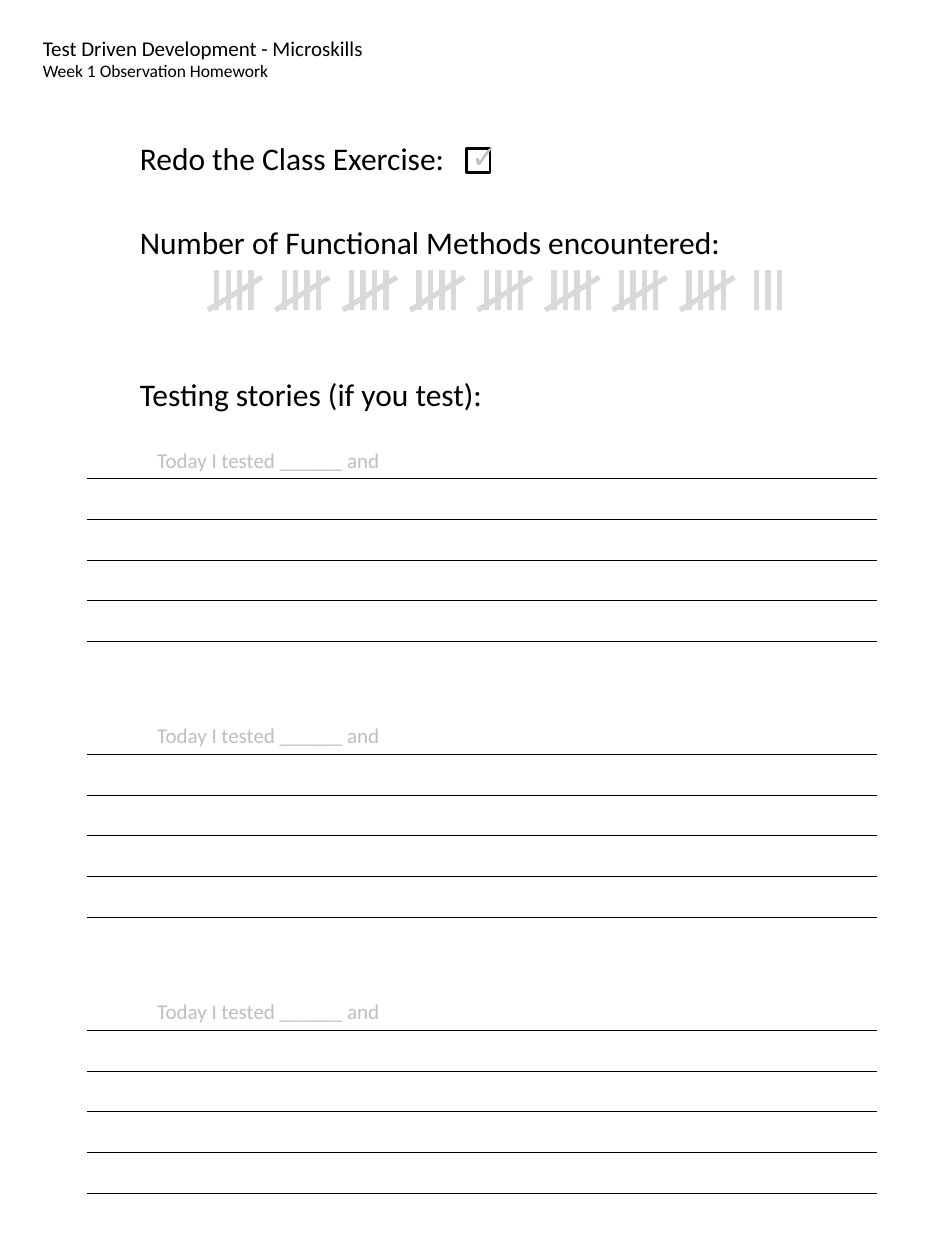
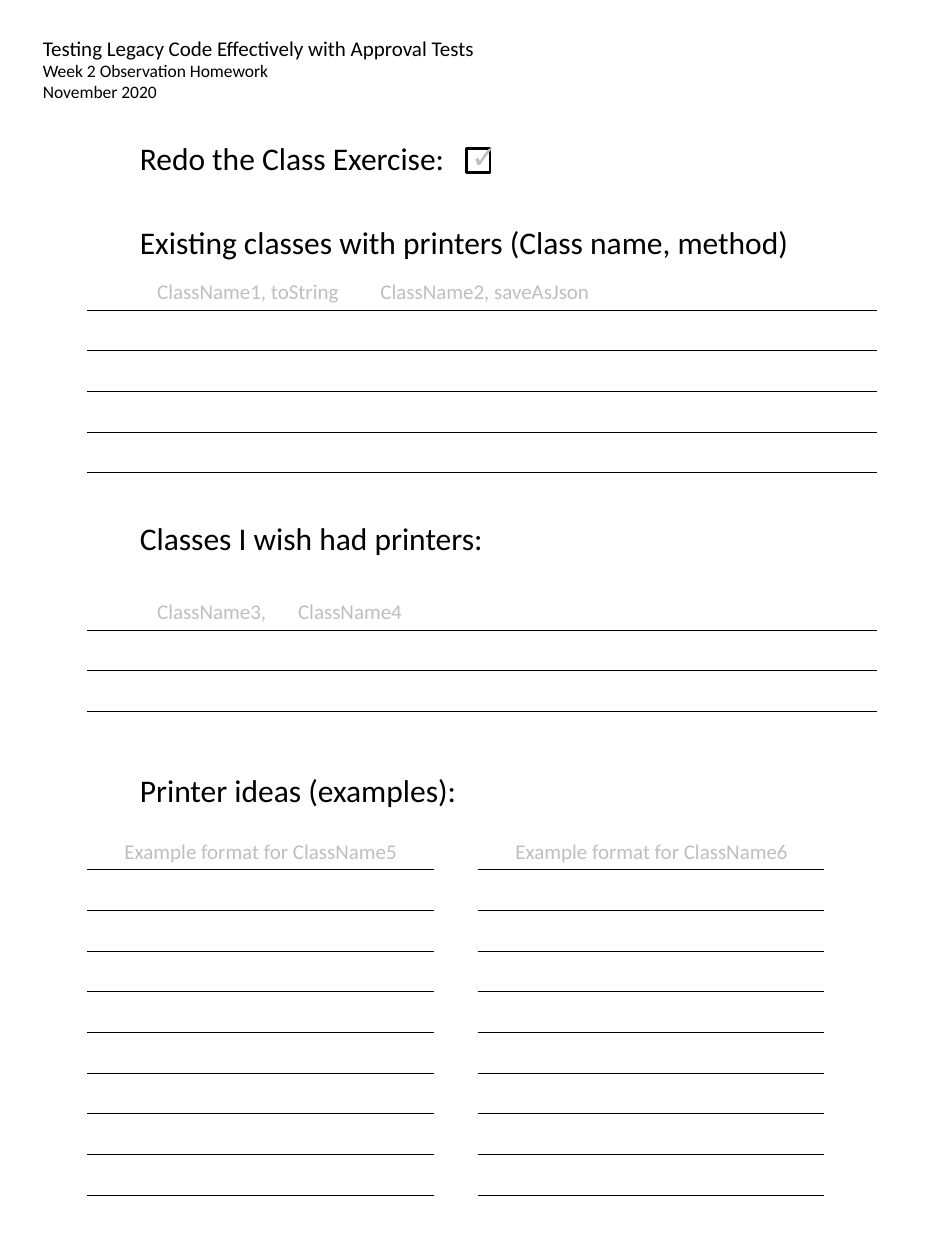
from lxml import etree
from pptx import Presentation
from pptx.dml.color import RGBColor
from pptx.enum.shapes import MSO_CONNECTOR, MSO_SHAPE
from pptx.enum.text import MSO_ANCHOR, MSO_AUTO_SIZE, PP_ALIGN
from pptx.oxml.ns import qn
from pptx.util import Cm, Pt

STRAIGHT = MSO_CONNECTOR.STRAIGHT
RECTANGLE = MSO_SHAPE.RECTANGLE
TOP = MSO_ANCHOR.TOP
GROW = MSO_AUTO_SIZE.SHAPE_TO_FIT_TEXT
LEFT = PP_ALIGN.LEFT

FONT = "Calibri"
BLACK, HINT, TALLY = "000000", "BFBFBF", "D9D9D9"

# Ruled lines
LINE_X, LINE_W, COLUMN_W = 1.75, 15.93, 6.99
ROW_GAP = 0.82

# Tally marks
TALLY_COUNT = 43
TALLY_X, TALLY_TOP, TALLY_BOTTOM = 4.37, 5.44, 6.25
TALLY_GAP, STROKE_GAP = 1.36, 0.23

# Each ruled block: hint, hint tab, hint offset, hint width, x, first line y, width, rows
PAGES = [
    {
        "title": ["Test Driven Development - Microskills",
                  "Week 1 Observation Homework"],
        "title_size": (7.04, 1.19),
        "headings": [("Number of Functional Methods encountered:", 4.37),
                     ("Testing stories (if you test):", 7.44)],
        "tally": TALLY_COUNT,
        "blocks": [("Today I tested ______ and", None, 1.17, 10.54,
                    LINE_X, 9.65 + 5.56 * i, LINE_W, 5) for i in range(3)],
    },
    {
        "title": ["Testing Legacy Code Effectively with Approval Tests",
                  "Week 2 Observation Homework",
                  "November 2020"],
        "title_size": (9.3, 1.63),
        "headings": [("Existing classes with printers (Class name, method)", 4.37),
                     ("Classes I wish had printers:", 10.34),
                     ("Printer ideas (examples):", 15.42)],
        "tally": 0,
        "blocks": [
            ("ClassName1, toString\tClassName2, saveAsJson", 4.5, 1.17, 10.54,
             LINE_X, 6.25, LINE_W, 5),
            ("ClassName3,\tClassName4", 2.84, 1.17, 10.54,
             LINE_X, 12.7, LINE_W, 3),
            ("Example format for ClassName5", None, 0.51, COLUMN_W,
             LINE_X, 17.53, COLUMN_W, 9),
            ("Example format for ClassName6", None, 0.51, COLUMN_W,
             9.63, 17.53, COLUMN_W, 9),
        ],
    },
]


def add_text(shapes, text, x, y, w, h, size, color, tab=None):
    tf = shapes.add_textbox(Cm(x), Cm(y), Cm(w), Cm(h)).text_frame
    tf.word_wrap = True
    tf.auto_size = GROW
    p = tf.paragraphs[0]
    p.text = text
    p.font.name = FONT
    p.font.size = Pt(size)
    p.font.color.rgb = RGBColor.from_string(color)
    if tab:
        tabs = etree.Element(qn("a:tabLst"))
        etree.SubElement(tabs, qn("a:tab"), pos=str(Cm(tab)), algn="l")
        p._p.get_or_add_pPr().insert(0, tabs)


def add_line(shapes, x1, y1, x2, y2, color, width):
    line = shapes.add_connector(STRAIGHT, Cm(x1), Cm(y1), Cm(x2), Cm(y2))
    line.line.color.rgb = RGBColor.from_string(color)
    line.line.width = Pt(width)
    etree.SubElement(line._element.spPr, qn("a:effectLst"))


prs = Presentation()
prs.slide_width, prs.slide_height = Cm(19.05), Cm(25.4)
title_only = prs.slide_layouts[5]

for page in PAGES:
    s = prs.slides.add_slide(title_only)

    # Course title in the top left corner
    title = s.shapes.title
    title.left, title.top = Cm(0.61), Cm(0.58)
    title.width, title.height = (Cm(v) for v in page["title_size"])
    tf = title.text_frame
    tf.text = "\n".join(page["title"])
    tf.word_wrap = False
    tf.auto_size = GROW
    tf.vertical_anchor = TOP
    for i, p in enumerate(tf.paragraphs):
        p.alignment = LEFT
        p.font.name = FONT
        p.font.size = Pt(10 if i else 12)
        p.font.color.rgb = RGBColor.from_string(BLACK)

    # Headings
    for text, y in [("Redo the Class Exercise:", 2.67)] + page["headings"]:
        add_text(s.shapes, text, 2.57, y, 14.25, 1.02, 18, BLACK)

    # Ticked checkbox
    box = s.shapes.add_shape(RECTANGLE, Cm(9.4), Cm(3), Cm(0.48), Cm(0.48))
    box.shadow.inherit = False
    box.fill.background()
    box.line.color.rgb = RGBColor.from_string(BLACK)
    box.line.width = Pt(1.5)
    add_text(s.shapes, "✓", 9.25, 2.64, 1.37, 1.02, 18, HINT)

    # Tally marks in groups of five, the fifth struck across
    for start in range(0, page["tally"], 5):
        marks = s.shapes.add_group_shape().shapes
        x = TALLY_X + start // 5 * TALLY_GAP
        count = min(5, page["tally"] - start)
        for i in range(min(4, count)):
            stroke_x = x + i * STROKE_GAP
            add_line(marks, stroke_x, TALLY_TOP, stroke_x, TALLY_BOTTOM, TALLY, 3)
        if count == 5:
            add_line(marks, x + 0.91, TALLY_TOP + 0.15, x - 0.18, TALLY_BOTTOM, TALLY, 3)

    # Ruled blocks with a hint above the first line
    for hint, tab, offset, hint_w, x, y, w, rows in page["blocks"]:
        block = s.shapes.add_group_shape().shapes
        add_text(block, hint, x + offset, y - 0.76, hint_w, 0.76, 12, HINT, tab)
        for row in range(rows):
            line_y = y + row * ROW_GAP
            add_line(block, x, line_y, x + w, line_y, BLACK, 0.5)

prs.save("out.pptx")
